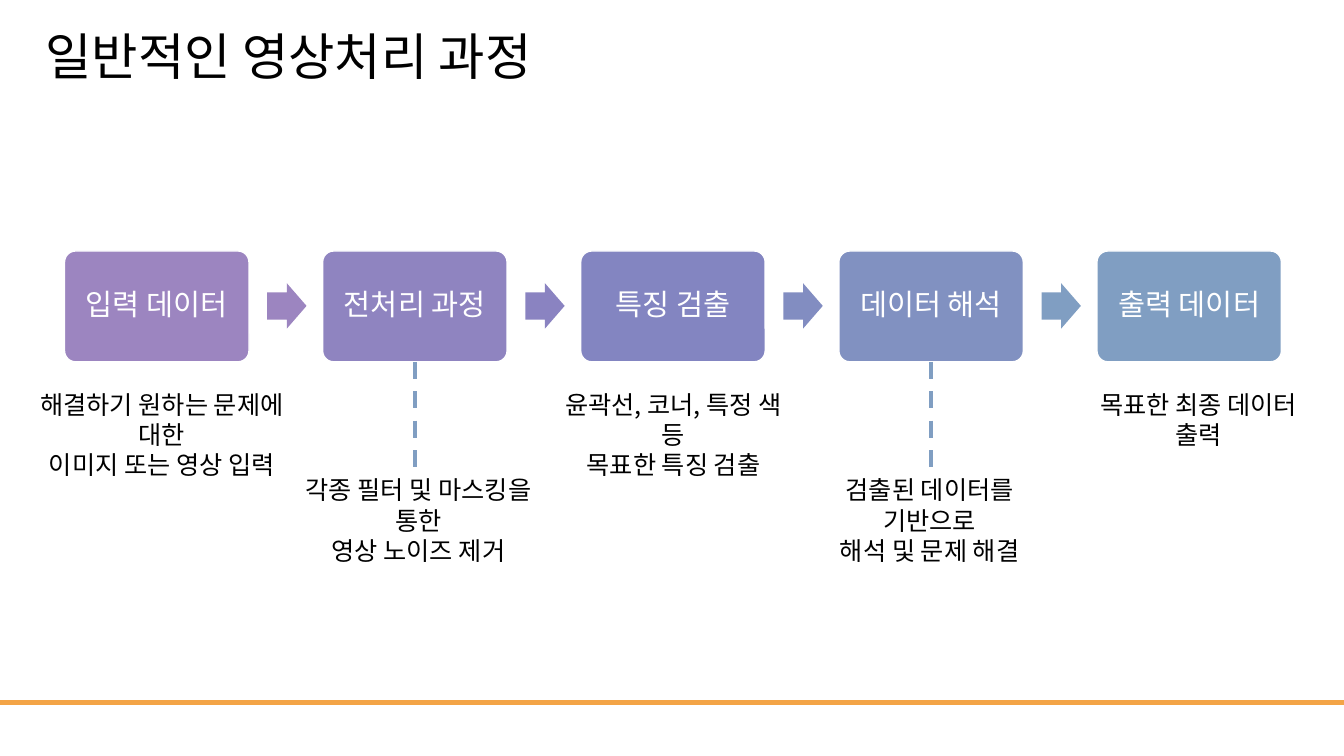
from pptx import Presentation
from pptx.dml.color import RGBColor
from pptx.enum.dml import MSO_LINE
from pptx.enum.shapes import MSO_CONNECTOR, MSO_SHAPE
from pptx.enum.text import MSO_ANCHOR, MSO_AUTO_SIZE, PP_ALIGN
from pptx.oxml.ns import qn
from pptx.util import Inches, Pt
from lxml import etree

STRAIGHT = MSO_CONNECTOR.STRAIGHT
ROUNDED = MSO_SHAPE.ROUNDED_RECTANGLE
ARROW = MSO_SHAPE.RIGHT_ARROW
DASH = MSO_LINE.DASH
MIDDLE, TOP = MSO_ANCHOR.MIDDLE, MSO_ANCHOR.TOP
LEFT, CENTER = PP_ALIGN.LEFT, PP_ALIGN.CENTER
NO_AUTOFIT = MSO_AUTO_SIZE.NONE

FONT = "Noto Sans CJK KR"
SLIDE_WIDTH, SLIDE_HEIGHT = 13.33, 7.5
STEP_PITCH, STEP_WIDTH, STEP_HEIGHT = 2.56, 1.83, 1.1
UPPER_DROP, LOWER_DROP = 1.32, 2.17  # caption tops below the step's top

# Label, step colour, colour of the next arrow, caption shift, width, drop, lines
STEPS = [
    ("입력 데이터", "9C85C0", "9C85C0", -0.53, 2.99, UPPER_DROP,
     ["해결하기 원하는 문제에 대한", "이미지 또는 영상 입력"]),
    ("전처리 과정", "8F84C0", "8A83C1", -0.5, 2.9, LOWER_DROP,
     ["각종 필터 및 마스킹을 통한", "영상 노이즈 제거"]),
    ("특징 검출", "8385C1", "828DC1", -0.38, 2.6, UPPER_DROP,
     ["윤곽선, 코너, 특정 색 등", "목표한 특징 검출"]),
    ("데이터 해석", "8191C1", "809EC2", -0.49, 2.78, LOWER_DROP,
     ["검출된 데이터를 기반으로", "해석 및 문제 해결"]),
    ("출력 데이터", "809EC2", None, -0.27, 2.56, UPPER_DROP,
     ["목표한 최종 데이터 출력"]),
]


def color(value):
    return RGBColor.from_string(value)


def write(shape, lines, size, ink, align=CENTER, anchor=MIDDLE, spacing=None):
    frame = shape.text_frame
    frame.word_wrap = True
    frame.auto_size = NO_AUTOFIT
    frame.vertical_anchor = anchor
    for number, line in enumerate(lines):
        para = frame.add_paragraph() if number else frame.paragraphs[0]
        para.alignment = align
        if spacing:
            para.line_spacing = spacing
        span = para.add_run()
        span.text = line
        span.font.name = FONT
        span.font.size = Pt(size)
        span.font.color.rgb = color(ink)
        east_asian = etree.SubElement(span.font._element, qn("a:ea"))
        east_asian.set("typeface", FONT)


def add_block(page, kind, left, top, width, height, fill):
    block = page.shapes.add_shape(
        kind, Inches(left), Inches(top), Inches(width), Inches(height))
    block.shadow.inherit = False
    block.fill.solid()
    block.fill.fore_color.rgb = color(fill)
    block.line.fill.background()
    return block


def add_line(page, x1, y1, x2, y2, ink):
    line = page.shapes.add_connector(
        STRAIGHT, Inches(x1), Inches(y1), Inches(x2), Inches(y2))
    line.line.color.rgb = color(ink)
    line.line.width = Pt(3)
    etree.SubElement(line._element.spPr, qn("a:effectLst"))
    return line


def add_title(page, left, top, width, height):
    title = page.shapes.title
    title.left, title.top = Inches(left), Inches(top)
    title.width, title.height = Inches(width), Inches(height)
    write(title, ["일반적인 영상처리 과정"], 36, "000000", LEFT, spacing=0.9)


def add_step(page, left, top, step):
    label, fill, arrow_fill, shift, width, drop, lines = step

    # Step box
    box = add_block(page, ROUNDED, left, top, STEP_WIDTH, STEP_HEIGHT, fill)
    box.adjustments[0] = 0.1
    box.line.color.rgb = color("FFFFFF")
    box.line.width = Pt(1)
    write(box, [label], 21, "FFFFFF", spacing=0.9)

    # Arrow to the next step
    if arrow_fill:
        arrow = add_block(page, ARROW, left + 2.01, top + 0.32, 0.39, 0.45, arrow_fill)
        arrow.adjustments[0] = 0.6

    # Caption
    caption = page.shapes.add_textbox(
        Inches(left + shift), Inches(top + drop),
        Inches(width), Inches(0.4 if len(lines) == 1 else 0.71))
    write(caption, lines, 18, "000000", anchor=TOP)

    # Dashed leader down to a lower caption
    if drop == LOWER_DROP:
        middle = left + STEP_WIDTH / 2
        leader = add_line(page, middle, top + STEP_HEIGHT, middle, top + drop, "809EC2")
        leader.line.dash_style = DASH
        leader.begin_connect(box, 2)


def add_process(page, left, top):
    for number, step in enumerate(STEPS):
        add_step(page, left + number * STEP_PITCH, top, step)


def main():
    deck = Presentation()
    deck.slide_width, deck.slide_height = Inches(SLIDE_WIDTH), Inches(SLIDE_HEIGHT)
    page = deck.slides.add_slide(deck.slide_layouts[5])
    add_line(page, 0, 6.97, SLIDE_WIDTH, 6.97, "F3A447")  # footer rule
    add_title(page, 0.35, 0.12, 9.59, 0.93)
    add_process(page, 0.64, 2.49)
    deck.save("out.pptx")


if __name__ == "__main__":
    main()
